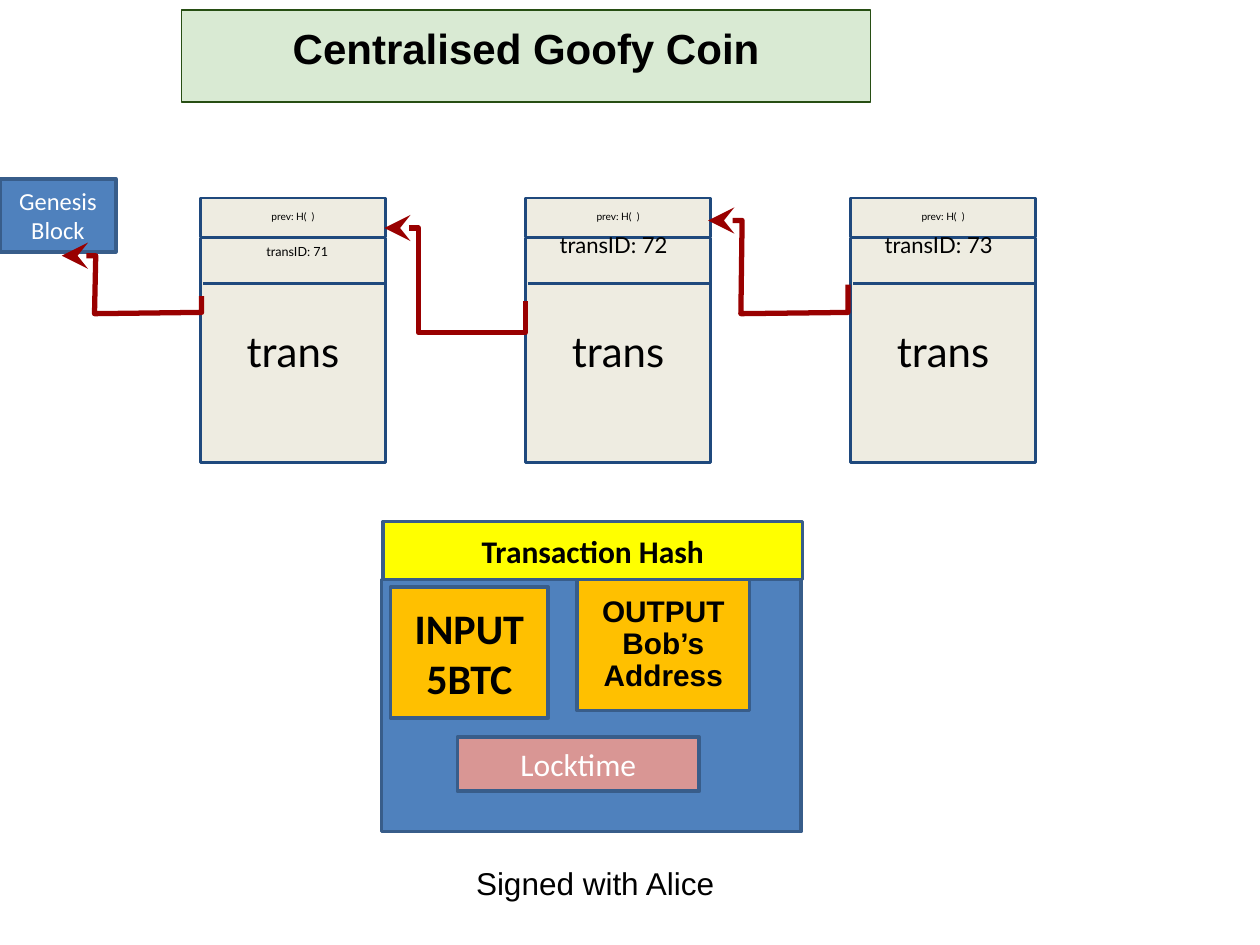
from dataclasses import dataclass

from pptx import Presentation
from pptx.dml.color import RGBColor
from pptx.enum.shapes import MSO_CONNECTOR, MSO_SHAPE
from pptx.enum.text import MSO_ANCHOR, MSO_AUTO_SIZE, PP_ALIGN
from pptx.oxml.ns import qn
from pptx.util import Inches, Pt
from lxml.etree import SubElement

BLACK = RGBColor(0x00, 0x00, 0x00)
WHITE = RGBColor(0xFF, 0xFF, 0xFF)
CREAM = RGBColor(0xEE, 0xEC, 0xE1)
NAVY = RGBColor(0x1F, 0x49, 0x7D)
BLUE = RGBColor(0x4F, 0x81, 0xBD)
EDGE = RGBColor(0x38, 0x5D, 0x8A)
AMBER = RGBColor(0xFF, 0xC0, 0x00)
YELLOW = RGBColor(0xFF, 0xFF, 0x00)
PINK = RGBColor(0xD9, 0x96, 0x94)
RED = RGBColor(0x99, 0x00, 0x00)
PALE_GREEN = RGBColor(0xD9, 0xEA, 0xD3)
DARK_GREEN = RGBColor(0x27, 0x4E, 0x13)


@dataclass
class TextStyle:
    size: float
    font: str = "Calibri"
    color: RGBColor = BLACK
    bold: bool = False
    spacing: float = 1.0
    align: PP_ALIGN = PP_ALIGN.CENTER
    anchor: MSO_ANCHOR = MSO_ANCHOR.MIDDLE
    inset: float = 0.05  # top and bottom


@dataclass
class Box:
    left: float
    top: float
    width: float
    height: float
    fill: RGBColor
    text: str = ""
    style: TextStyle | None = None
    line: RGBColor = EDGE
    weight: float = 2


@dataclass
class Block:
    left: float
    trans_id: str
    id_left: float
    id_top: float
    id_size: float


def write(s, text: str, style: TextStyle) -> None:
    tf = s.text_frame
    tf.text = text
    tf.word_wrap = True
    tf.auto_size = MSO_AUTO_SIZE.NONE
    tf.vertical_anchor = style.anchor
    tf.margin_left = tf.margin_right = Inches(0.1)
    tf.margin_top = tf.margin_bottom = Inches(style.inset)
    for p in tf.paragraphs:
        p.alignment = style.align
        p.line_spacing = style.spacing
        p.space_before = Pt(0)
        for r in p.runs:
            r.font.size = Pt(style.size)
            r.font.name = style.font
            r.font.bold = style.bold
            r.font.color.rgb = style.color


def paint(s, fill: RGBColor, line: RGBColor, weight: float) -> None:
    s.fill.solid()
    s.fill.fore_color.rgb = fill
    s.line.color.rgb = line
    s.line.width = Pt(weight)


def add_box(slide, box: Box) -> None:
    s = slide.shapes.add_shape(MSO_SHAPE.RECTANGLE, Inches(box.left), Inches(box.top),
                               Inches(box.width), Inches(box.height))
    s.shadow.inherit = False
    paint(s, box.fill, box.line, box.weight)
    if box.style:
        write(s, box.text, box.style)


def add_label(slide, left: float, top: float, width: float, height: float,
              text: str, style: TextStyle) -> None:
    s = slide.shapes.add_textbox(Inches(left), Inches(top), Inches(width), Inches(height))
    write(s, text, style)


def add_block(slide, block: Block) -> None:
    add_box(slide, Box(block.left, 1.89, 1.47, 1.78, CREAM, "trans",
                       TextStyle(24, "Lato", inset=0.1), NAVY, 1.5))
    add_box(slide, Box(block.left, 1.57, 1.47, 0.31, CREAM, "prev: H(  )",
                       TextStyle(5.8, "Lato", spacing=0.8, inset=0.1), NAVY, 1.5))
    # Rule under the transaction ID
    start = block.left + 0.02
    rule = slide.shapes.add_connector(MSO_CONNECTOR.STRAIGHT, Inches(start), Inches(2.25),
                                      Inches(start + 1.46), Inches(2.25))
    rule.line.color.rgb = NAVY
    rule.line.width = Pt(1.5)
    SubElement(rule._element.spPr, qn("a:effectLst"))
    add_label(slide, block.id_left, block.id_top, 1.46, 0.42, block.trans_id,
              TextStyle(block.id_size, "Lato", spacing=0.8,
                        anchor=MSO_ANCHOR.TOP, inset=0.1))


def add_hash_pointer(slide, points: list[tuple[float, float]]) -> None:
    corners = [(Inches(x), Inches(y)) for x, y in points]
    builder = slide.shapes.build_freeform(*corners[0])
    builder.add_line_segments(corners[1:], close=False)
    s = builder.convert_to_shape()
    s.shadow.inherit = False
    s.fill.background()
    s.line.color.rgb = RED
    s.line.width = Pt(3)
    SubElement(s.line._get_or_add_ln(), qn("a:tailEnd"), type="stealth", w="lg", len="lg")


BLOCKS = [
    Block(6.75, "transID: 73", 6.72, 1.78, 12.6),
    Block(4.17, "transID: 72", 4.14, 1.78, 12.6),
    Block(1.59, "transID: 71", 1.63, 1.86, 7.2),
]

TRANSACTION = [
    Box(3.03, 4.6, 3.33, 2, BLUE),
    Box(3.1, 4.66, 1.25, 1.04, AMBER, "INPUT\n5BTC", TextStyle(24, bold=True)),
    Box(4.58, 4.6, 1.37, 1.04, AMBER, "OUTPUT\nBob’s\nAddress",
        TextStyle(17, "Arial", bold=True, spacing=0.9)),
    Box(3.63, 5.85, 1.92, 0.43, PINK, "Locktime", TextStyle(18, color=WHITE)),
    Box(3.04, 4.14, 3.33, 0.46, YELLOW, "Transaction Hash", TextStyle(18, bold=True)),
]

POINTERS = [
    [(4.17, 2.39), (4.17, 2.64), (3.32, 2.64), (3.32, 1.81), (3.05, 1.81)],
    [(6.73, 2.26), (6.73, 2.48), (5.88, 2.49), (5.89, 1.75), (5.62, 1.75)],
    [(1.6, 2.35), (1.6, 2.48), (0.75, 2.49), (0.76, 2.03), (0.49, 2.03)],
]


def main() -> None:
    prs = Presentation()
    prs.slide_width, prs.slide_height = Inches(10), Inches(7.5)
    slide = prs.slides.add_slide(prs.slide_layouts[5])

    # Title
    title = slide.shapes.title
    title.left, title.top = Inches(1.44), Inches(0.08)
    title.width, title.height = Inches(5.47), Inches(0.73)
    paint(title, PALE_GREEN, DARK_GREEN, 0.75)
    write(title, "Centralised Goofy Coin",
          TextStyle(24, "Arial", bold=True, anchor=MSO_ANCHOR.TOP, inset=0.1))

    # Block chain
    for block in BLOCKS:
        add_block(slide, block)
    add_box(slide, Box(0, 1.42, 0.92, 0.58, BLUE, "Genesis Block",
                       TextStyle(14, color=WHITE)))
    for points in POINTERS:
        add_hash_pointer(slide, points)

    # Transaction details
    for box in TRANSACTION:
        add_box(slide, box)
    add_label(slide, 3.68, 6.81, 2.54, 0.4, "Signed with Alice",
              TextStyle(18, "Arial", align=PP_ALIGN.LEFT, anchor=MSO_ANCHOR.TOP))

    prs.save("out.pptx")


if __name__ == "__main__":
    main()
